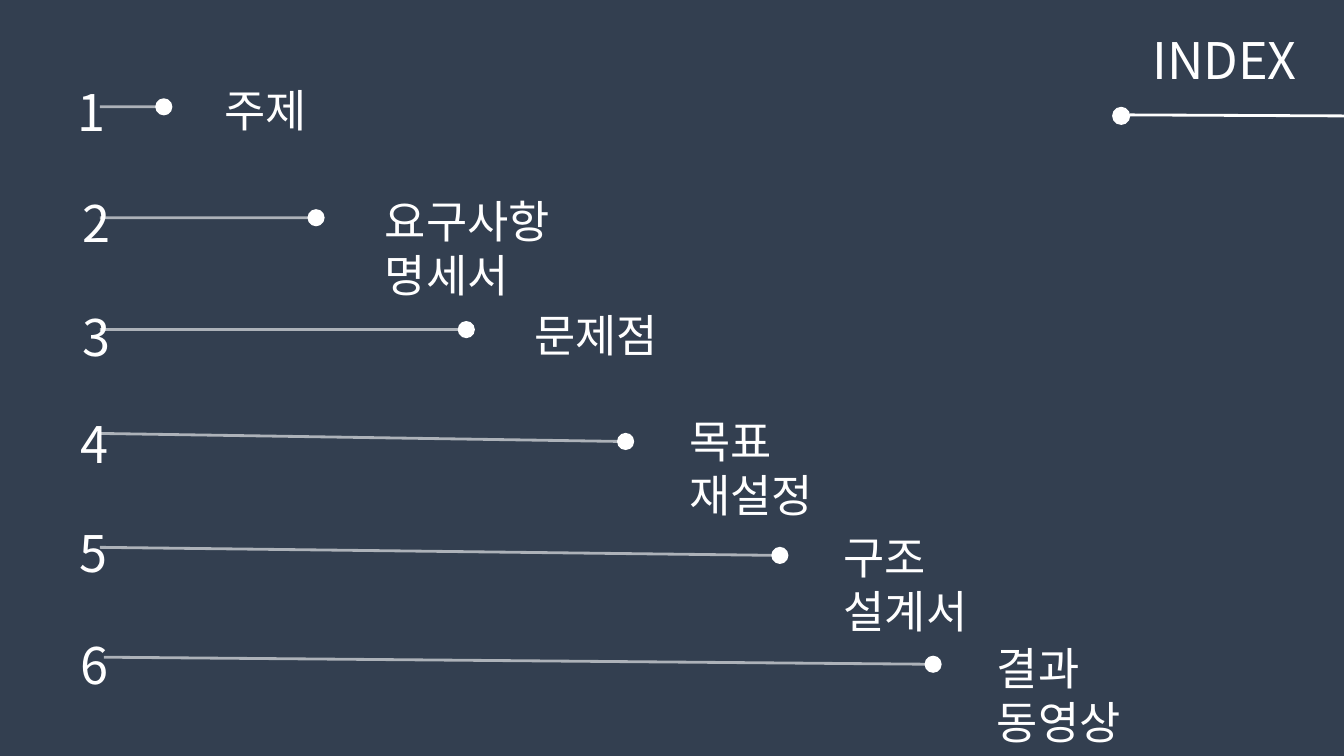
from pptx import Presentation
from pptx.dml.color import RGBColor
from pptx.enum.shapes import MSO_CONNECTOR, MSO_SHAPE
from pptx.oxml.ns import qn
from pptx.util import Inches, Pt
from lxml.etree import SubElement

FONT = "Noto Sans CJK KR"
WHITE = RGBColor(0xFF, 0xFF, 0xFF)
NAVY = RGBColor(0x33, 0x3F, 0x50)
SLIDE_W, SLIDE_H = 13.33, 7.5
DOT = 0.17
DOT_OVERLAP = 0.06

# number (left, top), line start and end, topic (left, top, width)
TOPICS = [
    ("1", (0.67, 0.76), (0.99, 1.06), (1.6, 1.06), "주제", (2.13, 0.77, 1.02)),
    ("2", (0.72, 1.86), (0.99, 2.16), (3.11, 2.16), "요구사항\v명세서", (3.72, 1.87, 3.17)),
    ("3", (0.72, 2.99), (0.99, 3.27), (4.6, 3.27), "문제점", (5.2, 3, 1.43)),
    ("4", (0.7, 4.05), (0.99, 4.3), (6.18, 4.38), "목표\v재설정", (6.74, 4.06, 2.36)),
    ("5", (0.69, 5.13), (0.99, 5.43), (7.71, 5.51), "구조\v설계서", (8.27, 5.21, 2.36)),
    ("6", (0.7, 6.24), (1.03, 6.52), (9.23, 6.59), "결과\v동영상", (9.79, 6.31, 2.36)),
]

prs = Presentation()
prs.slide_width, prs.slide_height = Inches(SLIDE_W), Inches(SLIDE_H)
slide = prs.slides.add_slide(prs.slide_layouts[6])
slide.background.fill.solid()
slide.background.fill.fore_color.rgb = NAVY


def add_text(text, left, top, width, height, size):
    box = slide.shapes.add_textbox(Inches(left), Inches(top), Inches(width), Inches(height))
    box.text_frame.word_wrap = True
    paragraph = box.text_frame.paragraphs[0]
    paragraph.text = text
    for run in paragraph.runs:
        run.font.name = FONT
        run.font.size = Pt(size)
        run.font.color.rgb = WHITE
        SubElement(run.font._element, qn("a:ea"), typeface=FONT)


def add_line(start, end, opacity=100):
    line = slide.shapes.add_connector(MSO_CONNECTOR.STRAIGHT, *map(Inches, start + end))
    line.line.width = Pt(2)
    line.line.color.rgb = WHITE
    if opacity < 100:
        color = line._element.spPr.find(".//" + qn("a:srgbClr"))
        SubElement(color, qn("a:alpha"), val=str(opacity * 1000))
    SubElement(line._element.spPr, qn("a:effectLst"))


def add_dot(left, middle, size=DOT):
    dot = slide.shapes.add_shape(
        MSO_SHAPE.OVAL, Inches(left), Inches(middle - size / 2), Inches(size), Inches(size))
    dot.shadow.inherit = False
    dot.fill.solid()
    dot.fill.fore_color.rgb = WHITE
    dot.line.fill.background()


for number, number_at, start, end, topic, (left, top, width) in TOPICS:
    add_line(start, end, opacity=60)
    add_dot(end[0] - DOT_OVERLAP, end[1])
    add_text(topic, left, top, width, 0.64, size=32)
    add_text(number, *number_at, 0.52, 0.71, size=36)

add_dot(11.03, 1.15, size=0.18)
add_line((11.21, 1.14), (SLIDE_W, 1.15))
add_text("INDEX", 11.33, 0.24, 1.75, 0.71, size=36)

prs.save("out.pptx")
